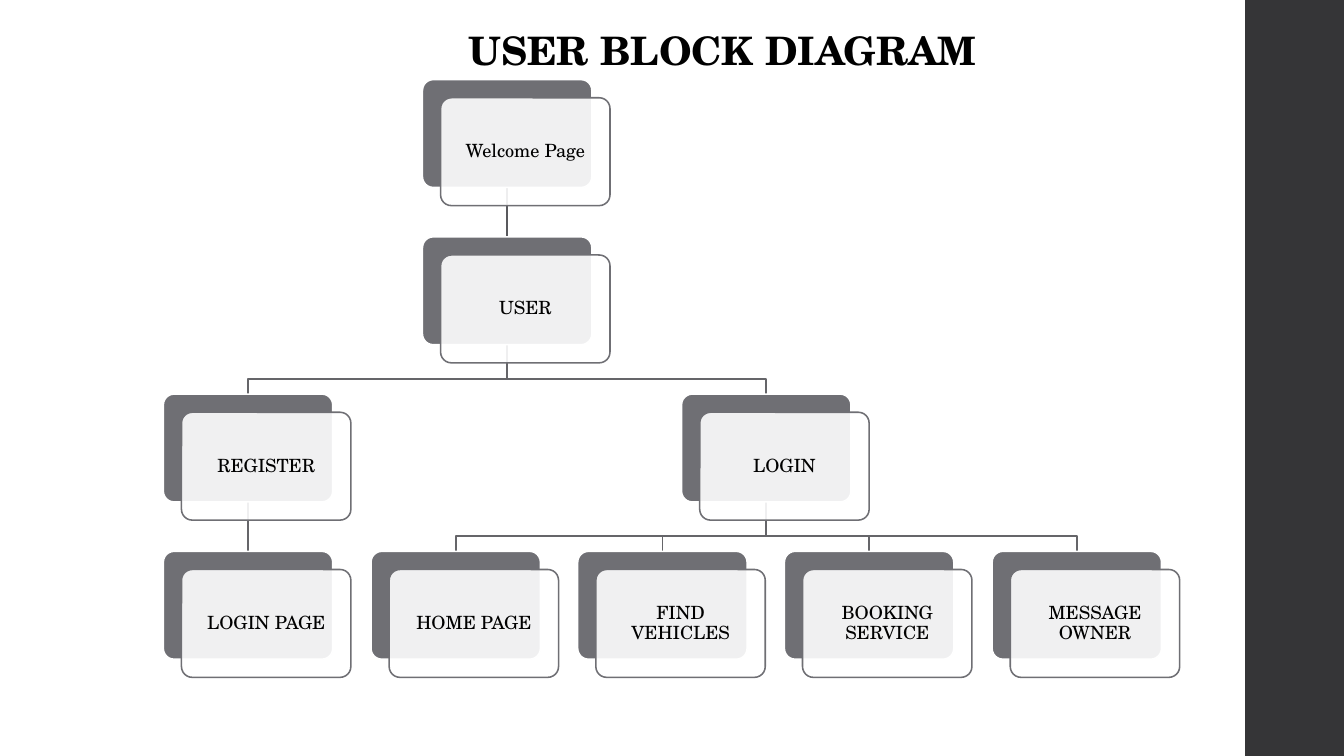
from lxml import etree
from pptx import Presentation
from pptx.dml.color import RGBColor
from pptx.enum.shapes import MSO_SHAPE as SHAPE
from pptx.enum.text import MSO_ANCHOR as ANCHOR, PP_ALIGN as ALIGN
from pptx.oxml.ns import qn
from pptx.util import Pt

PX = 9144  # 100 px to the inch
FONT = "TeX Gyre Schola"
BLACK = RGBColor(0x00, 0x00, 0x00)
WHITE = RGBColor(0xFF, 0xFF, 0xFF)
GREY = RGBColor(0x6F, 0x6F, 0x74)
LINK_GREY = RGBColor(0x65, 0x65, 0x69)
ROOT_LINK_GREY = RGBColor(0x59, 0x59, 0x5D)
SIDEBAR_GREY = RGBColor(0x35, 0x35, 0x37)

CARD_W, CARD_H = 168, 107
COL_STEP, ROW_STEP = 205.5, 156
FRONT_SHIFT = 18
BUS_DROP = 34  # from a card's bottom to the horizontal run of its links
LINE_W = Pt(1.1)

# (label, children)
PAGES = ("Welcome Page", [
    ("USER", [
        ("REGISTER", [("LOGIN PAGE", [])]),
        ("LOGIN", [
            ("HOME PAGE", []),
            ("FIND VEHICLES", []),
            ("BOOKING SERVICE", []),
            ("MESSAGE OWNER", []),
        ]),
    ]),
])


def emu(*lengths):
    return [length * PX for length in lengths]


def format_text(p, size, bold=False):
    p.alignment = ALIGN.CENTER
    font = p.runs[0].font
    font.name, font.size, font.bold = FONT, Pt(size), bold
    font.color.rgb = BLACK


def add_title(s, text, x, y, w, h):
    title = s.shapes.title
    title.left, title.top, title.width, title.height = emu(x, y, w, h)
    tf = title.text_frame
    tf.text = text
    tf.word_wrap = False
    tf.vertical_anchor = ANCHOR.MIDDLE
    format_text(tf.paragraphs[0], 28, bold=True)


def add_sidebar(s, x, y, w, h):
    bar = s.shapes.add_shape(SHAPE.RECTANGLE, *emu(x, y, w, h))
    bar.shadow.inherit = False
    bar.fill.solid()
    bar.fill.fore_color.rgb = SIDEBAR_GREY
    bar.line.fill.background()


def add_plate(s, x, y, fill, line):
    plate = s.shapes.add_shape(SHAPE.ROUNDED_RECTANGLE, *emu(x, y, CARD_W, CARD_H))
    plate.adjustments[0] = 0.1
    plate.shadow.inherit = False
    plate.fill.solid()
    plate.fill.fore_color.rgb = fill
    plate.line.color.rgb = line
    plate.line.width = LINE_W
    return plate


def add_card(s, label, x, y):
    """Grey plate with a nearly opaque white labelled plate in front."""
    add_plate(s, x, y, GREY, WHITE)
    front = add_plate(s, x + FRONT_SHIFT, y + FRONT_SHIFT, WHITE, GREY)
    color = front.fill._xPr.find(qn("a:solidFill"))[0]
    etree.SubElement(color, qn("a:alpha")).set("val", "90000")
    tf = front.text_frame
    tf.word_wrap = True
    tf.vertical_anchor = ANCHOR.MIDDLE
    tf.margin_left = tf.margin_right = 6 * PX
    tf.margin_top = tf.margin_bottom = 8 * PX
    tf.text = label
    p = tf.paragraphs[0]
    p.line_spacing = 0.9
    format_text(p, 13)


def add_link(s, parent, child, color):
    """Bent line from the parent's bottom centre to the child's top centre."""
    x1, y1 = parent[0] + CARD_W // 2, parent[1] + CARD_H
    x2, y2 = child[0] + CARD_W // 2, child[1]
    points = [(x1, y2)]
    if x1 != x2:
        points = [(x1, y1 + BUS_DROP), (x2, y1 + BUS_DROP), (x2, y2)]
    outline = s.shapes.build_freeform(x1, y1, scale=PX)
    outline.add_line_segments(points, close=False)
    link = outline.convert_to_shape()
    link.shadow.inherit = False
    link.fill.background()
    link.line.color.rgb = color
    link.line.width = LINE_W


def place_tree(page, x, y, cards, links, col=0, row=0):
    """Collect cards and links; each parent is centred over its children.

    Returns the page's column and the next free column.
    """
    label, children = page
    child_cols, next_col = [], col
    for child in children:
        child_col, next_col = place_tree(child, x, y, cards, links, next_col, row + 1)
        child_cols.append(child_col)
    if children:
        col = (child_cols[0] + child_cols[-1]) / 2
    else:
        next_col = col + 1

    def corner(at_col, at_row):
        return x + round(at_col * COL_STEP), y + at_row * ROW_STEP

    cards.append((label, *corner(col, row)))
    color = LINK_GREY if row else ROOT_LINK_GREY
    for child_col in child_cols:
        links.append((corner(col, row), corner(child_col, row + 1), color))
    return col, next_col


def add_diagram(s, x, y):
    cards, links = [], []
    place_tree(PAGES, x, y, cards, links)
    for link in links:
        add_link(s, *link)
    for card in cards:
        add_card(s, *card)


def main():
    prs = Presentation()
    prs.slide_width, prs.slide_height = emu(1333, 750)
    s = prs.slides.add_slide(prs.slide_layouts[5])
    add_sidebar(s, 1235, 0, 98, 750)
    add_diagram(s, 162, 79)
    add_title(s, "USER BLOCK DIAGRAM", 451, 21, 531, 57)
    prs.save("out.pptx")


if __name__ == "__main__":
    main()
